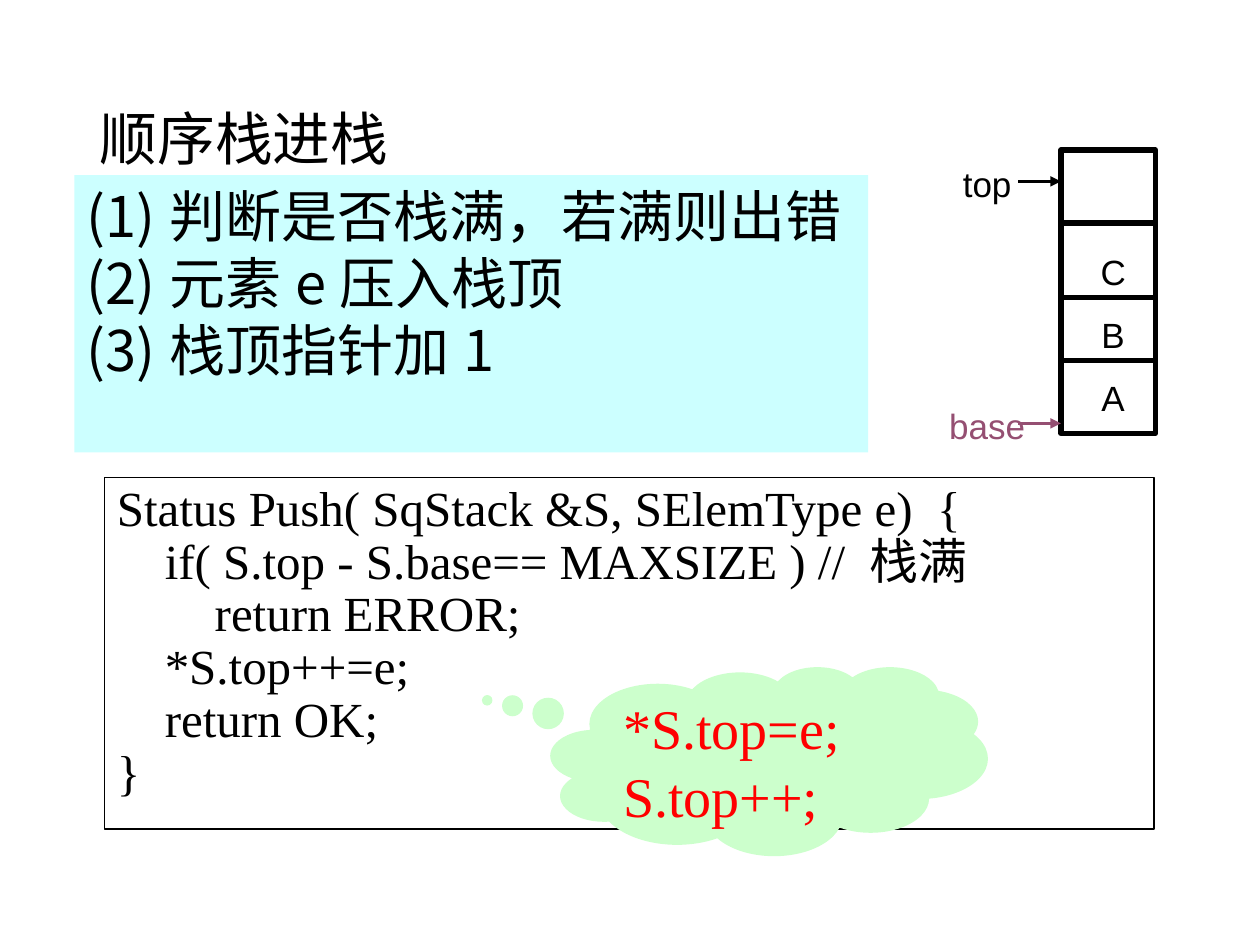
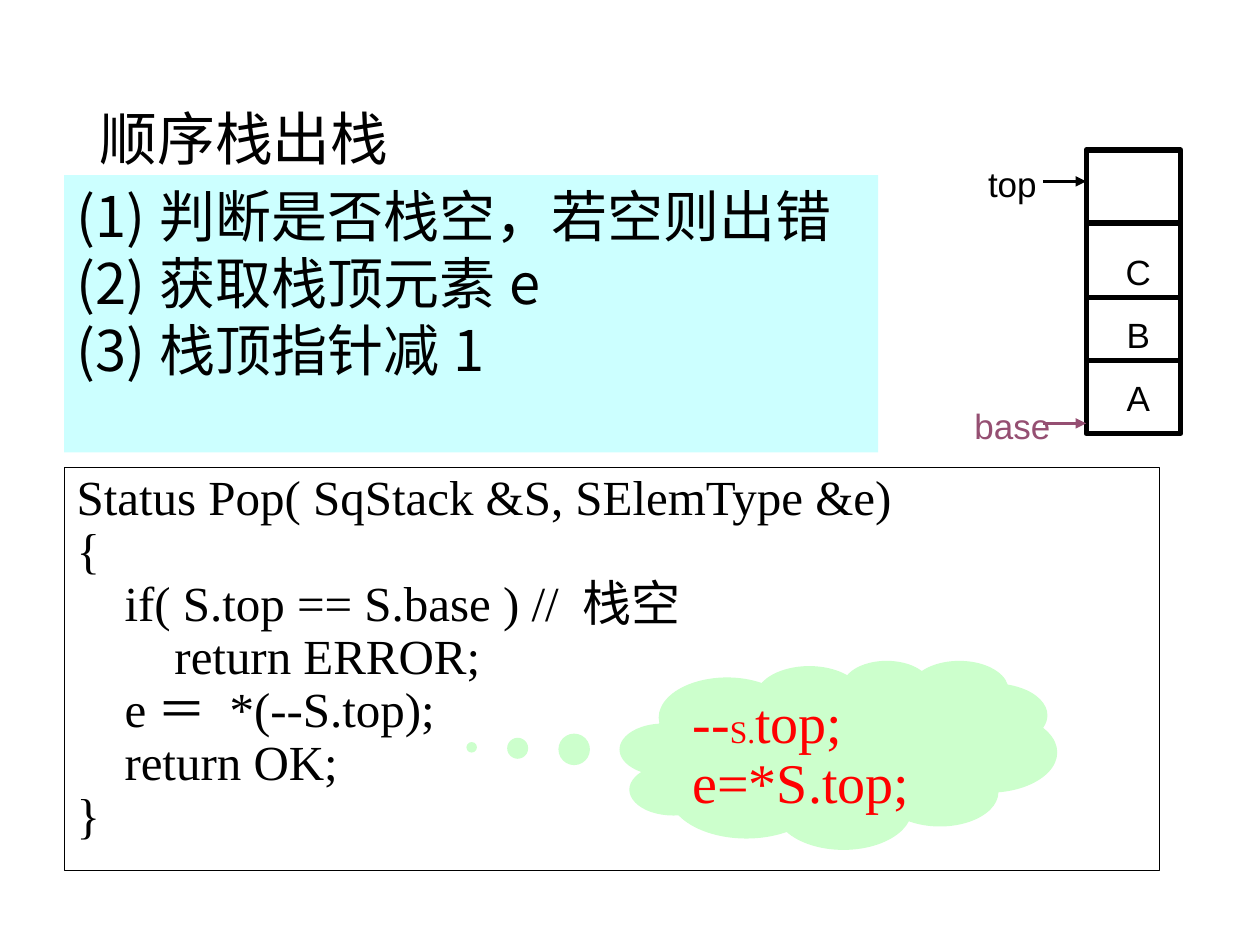
from lxml import etree
from pptx import Presentation
from pptx import util as u
from pptx.dml.color import RGBColor
from pptx.enum import shapes, text
from pptx.oxml.ns import qn

PX = 9144
BLACK, WHITE, RED, PLUM = "000000", "FFFFFF", "FF0000", "954F72"
PALE_CYAN, PALE_GREEN = "CCFFFF", "CCFFCC"
SANS, SERIF, LABEL = "Noto Sans CJK SC", "Times New Roman", "Arial"


def rgb(hex_color):
    return RGBColor.from_string(hex_color)


def write(shape, lines, font, size, color, spacing=1.0, indent=0, align=text.PP_ALIGN.LEFT):
    frame = shape.text_frame
    frame.text = "\n".join(lines)
    frame.word_wrap = True
    frame.auto_size = text.MSO_AUTO_SIZE.NONE
    for paragraph in frame.paragraphs:
        properties = paragraph._p.get_or_add_pPr()
        properties.set("marL", str(indent * PX))
        properties.set("indent", str(-indent * PX))
        etree.SubElement(properties, qn("a:buNone"))
        paragraph.alignment = align
        paragraph.line_spacing = spacing
        paragraph.space_before = u.Pt(0)
        for run in paragraph.runs:
            run.font.name = font
            run.font.size = u.Pt(size)
            run.font.color.rgb = rgb(color)
            east_asian = etree.SubElement(run._r.get_or_add_rPr(), qn("a:ea"))
            east_asian.set("typeface", SANS)


slides = [
    {
        "title": "顺序栈进栈",
        "steps": ["(1)判断是否栈满，若满则出错", "(2)元素e压入栈顶", "(3)栈顶指针加1"],
        "steps_box": (59, 139, 630, 220),
        "code": [
            "Status Push( SqStack &S, SElemType e)  {",
            "\tif( S.top - S.base== MAXSIZE ) // 栈满",
            "        return ERROR;",
            "\t*S.top++=e;",
            "\treturn OK;",
            "}",
        ],
        "code_box": (83, 379, 833, 279),
        "cloud": ["*S.top=e;", "S.top++;"],
        "cloud_box": (437, 529, 347, 150),
        "cloud_tail": (-0.645, -0.321),
        "stack_left": 842,
    },
    {
        "title": "顺序栈出栈",
        "steps": ["(1)判断是否栈空，若空则出错", "(2)获取栈顶元素e", "(3)栈顶指针减1"],
        "steps_box": (51, 139, 646, 220),
        "code": [
            "Status Pop( SqStack &S, SElemType &e)",
            "{",
            "\tif( S.top == S.base ) // 栈空",
            "        return ERROR;",
            "\te＝ *(--S.top);",
            "\treturn OK;",
            "}",
        ],
        "code_box": (51, 371, 869, 320),
        "cloud": ["--S.top;", "e=*S.top;"],
        "cloud_box": (492, 524, 347, 150),
        "cloud_tail": (-0.839, -0.039),
        "stack_left": 862,
    },
]

presentation = Presentation()
presentation.slide_width = 1000 * PX
presentation.slide_height = 750 * PX

for content in slides:
    slide = presentation.slides.add_slide(presentation.slide_layouts[1])

    title = slide.shapes.title
    title.left, title.top, title.width, title.height = [n * PX for n in (69, 40, 862, 145)]
    write(title, [content["title"]], SANS, 33, BLACK, 0.9)
    title.text_frame.vertical_anchor = text.MSO_ANCHOR.MIDDLE

    steps = slide.placeholders[1]
    steps.left, steps.top, steps.width, steps.height = [n * PX for n in content["steps_box"]]
    steps.fill.solid()
    steps.fill.fore_color.rgb = rgb(PALE_CYAN)
    write(steps, content["steps"], SANS, 32, BLACK, indent=67)

    code = slide.shapes.add_shape(
        shapes.MSO_SHAPE.RECTANGLE, *[n * PX for n in content["code_box"]])
    code.shadow.inherit = False
    code.fill.background()
    code.line.color.rgb = rgb(BLACK)
    code.line.width = u.Pt(0.75)
    write(code, content["code"], SERIF, 28, BLACK, 0.9, 38)
    code.text_frame.vertical_anchor = text.MSO_ANCHOR.TOP

    cloud = slide.shapes.add_shape(
        shapes.MSO_SHAPE.CLOUD_CALLOUT, *[n * PX for n in content["cloud_box"]])
    cloud.adjustments[0], cloud.adjustments[1] = content["cloud_tail"]
    cloud.shadow.inherit = False
    cloud.fill.solid()
    cloud.fill.fore_color.rgb = rgb(PALE_GREEN)
    cloud.line.fill.background()
    write(cloud, content["cloud"], SERIF, 32, RED, 0.9, 38)
    cloud.text_frame.vertical_anchor = text.MSO_ANCHOR.TOP

    left = content["stack_left"]
    right = left + 75
    stack = slide.shapes.add_group_shape()
    column = stack.shapes.add_shape(
        shapes.MSO_SHAPE.RECTANGLE, left * PX, 119 * PX, 75 * PX, 225 * PX)
    column.shadow.inherit = False
    column.fill.solid()
    column.fill.fore_color.rgb = rgb(WHITE)
    column.line.color.rgb = rgb(BLACK)
    column.line.width = u.Pt(3)

    dividers = [(left, right, y, BLACK, 3) for y in (177, 236, 286)]
    pointers = [(left - 34, left, 144, BLACK, 1.5), (left - 34, left, 336, PLUM, 1.5)]
    for start, end, y, color, width in dividers + pointers:
        line = stack.shapes.add_connector(
            shapes.MSO_CONNECTOR.STRAIGHT, start * PX, y * PX, end * PX, y * PX)
        line.line.color.rgb = rgb(color)
        line.line.width = u.Pt(width)
        if end == left:
            etree.SubElement(line.line._get_or_add_ln(), qn("a:tailEnd")).set("type", "triangle")
        etree.SubElement(line._element.spPr, qn("a:effectLst"))

    items = [(name, left + 8, 194 + 50 * i, 67, BLACK) for i, name in enumerate("CBA")]
    names = [("top", left - 125, 124, 133, BLACK), ("base", left - 125, 316, 133, PLUM)]
    for name, x, y, width, color in items + names:
        label = stack.shapes.add_textbox(x * PX, y * PX, width * PX, 43 * PX)
        write(label, [name], LABEL, 20, color, align=text.PP_ALIGN.CENTER)

    if content["title"] == "顺序栈进栈":
        cloud.text_frame.paragraphs[1].line_spacing = 1.0
    else:
        paragraph = cloud.text_frame.paragraphs[0]
        paragraph.runs[0].text = "--"
        for piece, size in (("S.", 18), ("top;", 32)):
            run = paragraph.add_run()
            run.text = piece
            run.font.name = SERIF
            run.font.size = u.Pt(size)
            run.font.color.rgb = rgb(RED)

presentation.save("out.pptx")
